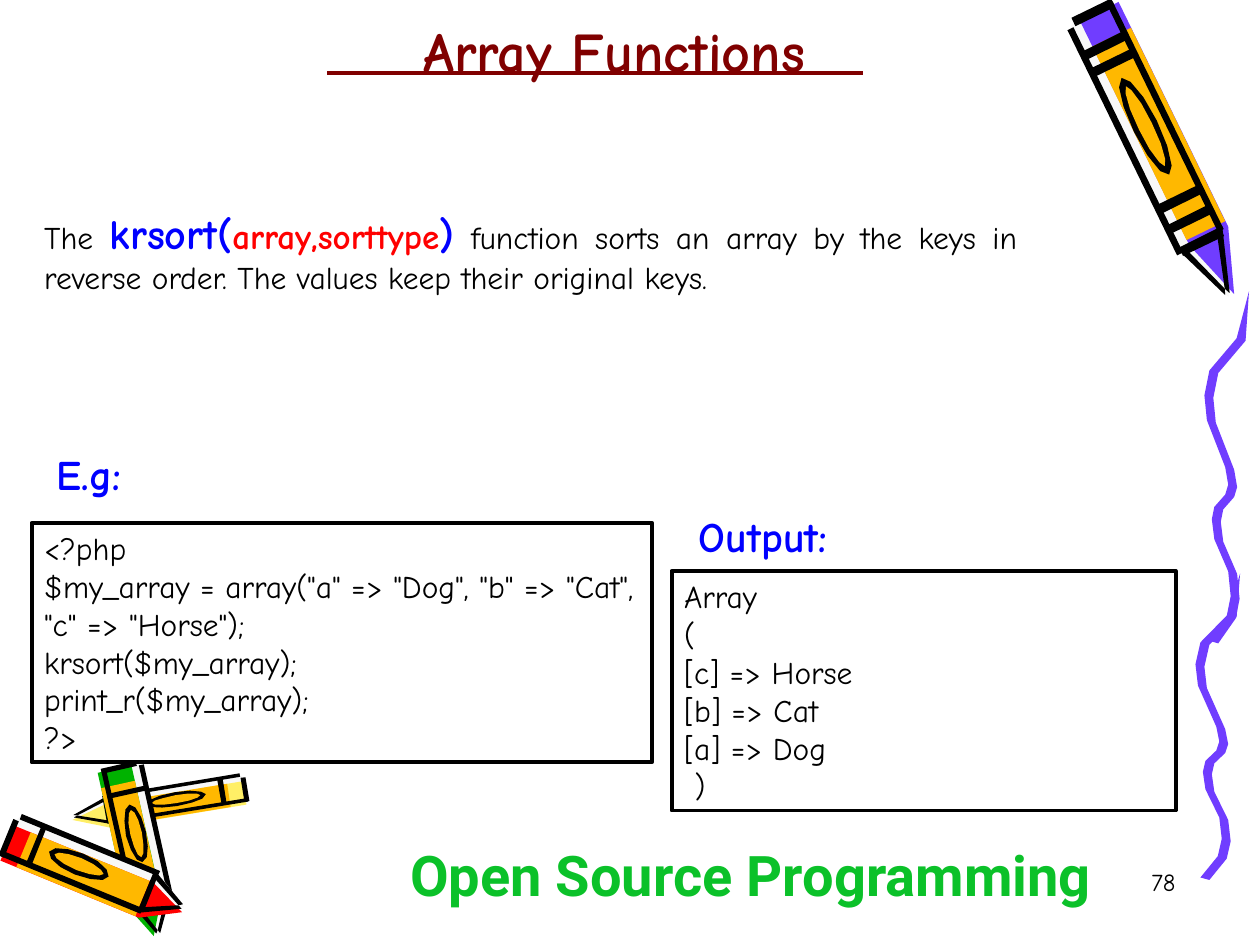
"""Build the krsort slide, with crayons around an example and its output."""
from math import cos, hypot, pi, sin
from lxml.etree import SubElement
from pptx import Presentation
from pptx.dml.color import RGBColor
from pptx.enum.shapes import MSO_CONNECTOR as Link, MSO_SHAPE as Form
from pptx.enum.text import MSO_ANCHOR as Anchor, MSO_AUTO_SIZE as Fit, PP_ALIGN as Align
from pptx.oxml.ns import qn
from pptx.util import Cm, Pt

HAND = "Comic Neue"
BLACK, BLUE, RED, MAROON, GREEN = "000000", "0000FF", "FF0000", "800000", "0BC129"
PURPLE, GOLD, CREAM, LEAF, PALE = "703DFF", "FFB800", "FFEF66", "00B200", "F8F8F8"


def tint(code):
    """Turn a hex string into a colour."""
    return RGBColor.from_string(code)


def write(box, parts, align=Align.LEFT, anchor=Anchor.TOP, face=HAND):
    """Fill a box with one paragraph of (text, size, colour, bold) parts."""
    frame = box.text_frame
    frame.word_wrap = True
    frame.auto_size = Fit.NONE
    frame.vertical_anchor = anchor
    para = frame.paragraphs[0]
    para.alignment = align
    if len(parts) == 1:
        para.text = parts[0][0]
    else:
        for part in parts:
            para.add_run().text = part[0]
    for spot, run in enumerate(para.runs):
        size, code, bold = parts[min(spot, len(parts) - 1)][1:]
        font = run.font
        font.name, font.size, font.bold = face, Pt(size), bold
        font.color.rgb = tint(code)


deck = Presentation()
deck.slide_width, deck.slide_height = Cm(25.4), Cm(19.05)
slide = deck.slides.add_slide(deck.slide_layouts[5])
shapes = slide.shapes
plots = []

bends = [(0.9, 0), (0.65, 0.95), (0.1, 1.6), (0, 2.1), (0.05, 2.6), (0.42, 3.55), (0.48, 3.9),
         (0.42, 4.1), (0.2, 4.35), (0.15, 4.6), (0.2, 5), (0.48, 5.65), (0.53, 6.15),
         (0.45, 6.55), (0.1, 7.05)]
ribbon = 0.18
for left, top, ratio in [(24.1, 11.56, 0.87), (24.28, 5.87, 1)]:
    near = [(left + x, top + y * ratio) for x, y in bends]
    far = [(x + ribbon, y + 0.05) for x, y in near[1:]]
    plots.append((PURPLE, near + far[::-1]))

crayons = [
    ((4.95, 15.88), (1.45, 16.46), 0.28, 1, CREAM, [0.12, 0.78]),
    ((2.44, 15.44), (3.2, 18.85), 0.41, -1, LEAF, [0.14]),
    ((0.18, 16.84), (3.71, 18.29), 0.45, -1, RED, [0.14, 0.78]),
    ((21.97, 0.25), (24.77, 5.99), 0.51, 1, PURPLE, [0.1, 0.16, 0.64, 0.71, 0.79]),
]
turns = [step * pi / 6 for step in range(12)]
for butt, tip, half, side, wax, bands in crayons:
    body = [(0, -0.7), (0, 1), (0.8, 1), (1, 0), (0.8, -1), (0.02, -1)]
    core = [(0.01, -0.5), (0.01, 1.2), (0.8, 1.2), (1, 0.25), (0.8, -0.5)]
    wrap = [(0.1, -0.5), (0.1, 1.2), (0.78, 1.2), (0.78, -0.5)]
    parts = [(PALE, body), (wax, core), (GOLD, wrap)]
    bars = [(0.02, 0.81, -1.1, -0.85), (0, 0.8, 0.75, 1), (-0.01, 0.02, -0.75, 1)]
    bars += [(band, band + 0.03, -0.9, 0.9) for band in bands]
    for start, end, low, high in bars:
        parts.append((BLACK, [(start, low), (start, high), (end, high), (end, low)]))
    for edge in (-1, 1):
        parts.append((BLACK, [(0.79, edge), (0.99, 0.1 * edge), (0.97, 0), (0.8, 0.7 * edge)]))
    for code, reach, girth in [(BLACK, 0.17, 0.5), (GOLD, 0.14, 0.28)]:
        parts.append((code, [(0.4 + reach * cos(turn), girth * sin(turn)) for turn in turns]))

    run, fall = tip[0] - butt[0], tip[1] - butt[1]
    span = hypot(run, fall)
    out_x, out_y = side * half * fall / span, -side * half * run / span
    for code, dots in parts:
        plots.append((code, [(butt[0] + along * run + across * out_x,
                              butt[1] + along * fall + across * out_y)
                             for along, across in dots]))

for code, dots in plots:
    grid = [(round(x * 100), round(y * 100)) for x, y in dots]
    pen = shapes.build_freeform(*grid[0], scale=Cm(0.01))
    pen.add_line_segments(grid[1:], close=True)
    shape = pen.convert_to_shape()
    shape.shadow.inherit = False
    shape.fill.solid()
    shape.fill.fore_color.rgb = tint(code)
    shape.line.fill.background()

title = shapes.title
title.left, title.top, title.width, title.height = Cm(6.35), Cm(0.2), Cm(12.07), Cm(1.63)
write(title, [("Array Functions", 32, MAROON, True)], Align.CENTER)

rule = shapes.add_connector(Link.STRAIGHT, Cm(6.6), Cm(1.47), Cm(17.4), Cm(1.47))
rule.line.color.rgb = tint(MAROON)
rule.line.width = Pt(2)
SubElement(rule._element.spPr, qn("a:effectLst"))

intro = [
    ("The ", 18, BLACK, False),
    ("krsort(", 24, BLUE, True),
    ("array,sorttype", 20, RED, True),
    (")", 24, BLUE, True),
    (" function sorts an array by the keys in reverse order. The values keep their original keys.",
     18, BLACK, False),
]
notes = [
    (18.67, 17.35, 5.28, 1.27, [("78", 14, BLACK, False)], Align.RIGHT, Anchor.TOP, HAND),
    (0.64, 4.06, 20.12, 2.03, intro, Align.JUSTIFY, Anchor.MIDDLE, HAND),
    (0.89, 8.92, 7.24, 1.27, [("E.g:", 24, BLUE, True)], Align.LEFT, Anchor.TOP, HAND),
    (13.84, 10.16, 7.11, 1.27, [("Output:", 24, BLUE, True)], Align.LEFT, Anchor.TOP, HAND),
    (7.62, 16.81, 15.04, 2.24, [("Open Source Programming", 32, GREEN, True)],
     Align.CENTER, Anchor.TOP, "Roboto"),
]
for left, top, width, height, parts, align, anchor, face in notes:
    box = shapes.add_textbox(Cm(left), Cm(top), Cm(width), Cm(height))
    write(box, parts, align, anchor, face)

code_in = """<?php
$my_array = array("a" => "Dog", "b" => "Cat", "c" => "Horse");
krsort($my_array);
print_r($my_array);
?>"""
code_out = """Array
(
[c] => Horse
[b] => Cat
[a] => Dog
 )"""
for left, top, width, text in [(0.64, 10.54, 12.5, code_in), (13.54, 11.51, 10.16, code_out)]:
    panel = shapes.add_shape(Form.RECTANGLE, Cm(left), Cm(top), Cm(width), Cm(4.83))
    panel.shadow.inherit = False
    panel.fill.background()
    panel.line.color.rgb = tint(BLACK)
    panel.line.width = Pt(2.25)
    write(panel, [(text, 18, BLACK, False)], Align.LEFT, Anchor.MIDDLE)

deck.save("out.pptx")
